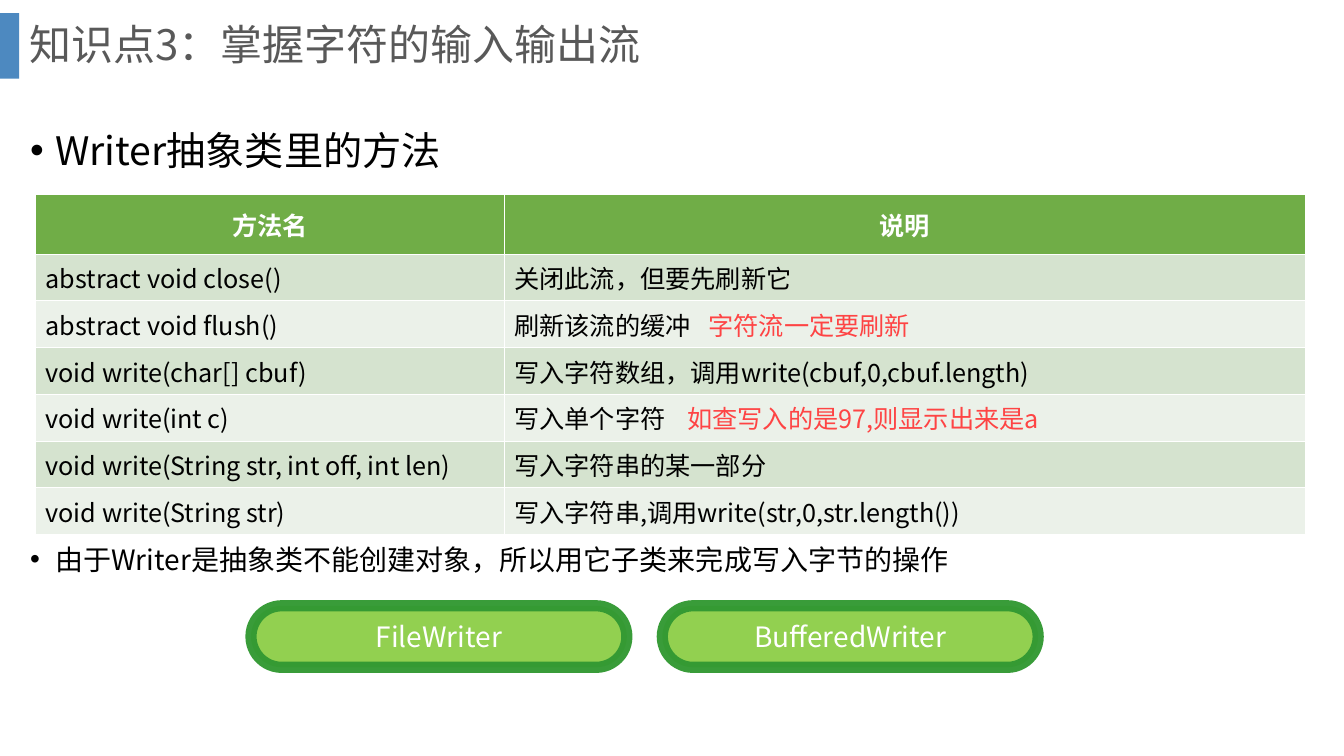
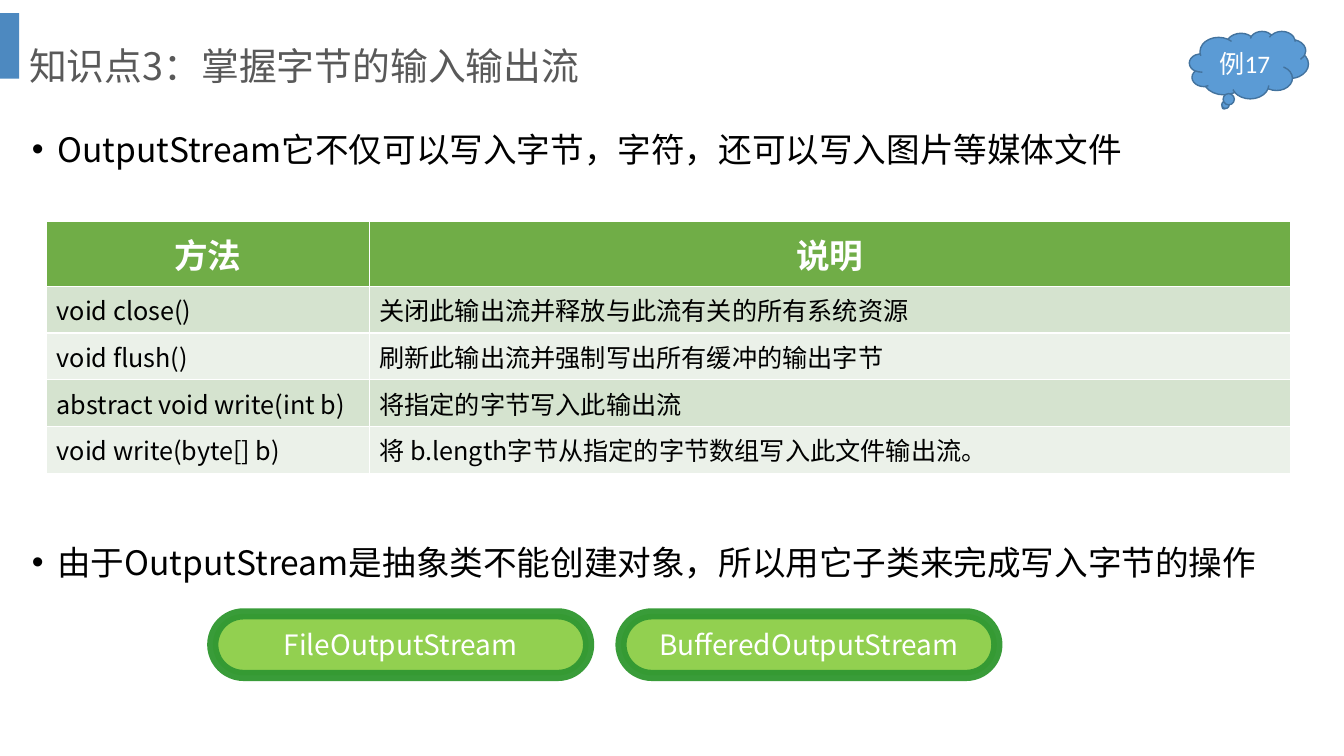
from lxml import etree
from pptx import Presentation
from pptx.dml.color import RGBColor
from pptx.enum import shapes, text
from pptx.oxml.ns import qn
from pptx.util import Pt

COLORS = {
    "bar": "2E75B6", "title": "595959", "text": "000000", "white": "FFFFFF",
    "header": "70AD47", "odd": "D5E3CF", "even": "EBF1E9", "note": "FE4444",
    "pill": "92D050", "pill_line": "339933", "cloud": "5B9BD5", "cloud_line": "43739E",
}
CJK_FONT = "Noto Sans CJK SC"
LATIN_FONT = "Calibri"
ROW_HEIGHT = 33.4
PILL_SIZE = (268.5, 44)

# A description is plain text, or (text, red note, tab position of the note).
SLIDES = [
    {
        "title": ("知识点3：掌握字符的输入输出流", 30, 0),
        "bullet_left": 14.4,
        "bullets": [("Writer抽象类里的方法", 28, 107),
                    ("由于Writer是抽象类不能创建对象，所以用它子类来完成写入字节的操作", 20, 399.5)],
        "table": {
            "at": (25.4, 139), "columns": (334.8, 572.4), "header": (42.5, 18),
            "rows": [
                ("方法名", "说明"),
                ("abstract void close()", "关闭此流，但要先刷新它"),
                ("abstract void flush()", ("刷新该流的缓冲", "字符流一定要刷新", 138.6)),
                ("void write(char[] cbuf)", "写入字符数组，调用write(cbuf,0,cbuf.length)"),
                ("void write(int c)", ("写入单个字符", "如查写入的是97,则显示出来是a", 123.6)),
                ("void write(String str, int off, int len)", "写入字符串的某一部分"),
                ("void write(String str)", "写入字符串,调用write(str,0,str.length())"),
            ],
        },
        "pills": (["FileWriter", "BufferedWriter"], 179.3, 432.7, 25.3),
    },
    {
        "title": ("知识点3：掌握字节的输入输出流", 27, 15),
        "bullet_left": 15.8,
        "bullets": [("OutputStream它不仅可以写入字节，字符，还可以写入图片等媒体文件", 24, 106.5),
                    ("由于OutputStream是抽象类不能创建对象，所以用它子类来完成写入字节的操作", 24, 401.5)],
        "table": {
            "at": (33.3, 158), "columns": (230.4, 658), "header": (46.5, 24),
            "rows": [
                ("方法", "说明"),
                ("void close()", "关闭此输出流并释放与此流有关的所有系统资源"),
                ("void flush()", "刷新此输出流并强制写出所有缓冲的输出字节"),
                ("abstract void write(int b)", "将指定的字节写入此输出流"),
                ("void write(byte[] b)", "将 b.length字节从指定的字节数组写入此文件输出流。"),
            ],
        },
        "pills": (["FileOutputStream", "BufferedOutputStream"], 152, 438.5, 23.1),
        "cloud": ("例17", (849.6, 22.3, 85, 48.2)),
    },
]


def rgb(name):
    return RGBColor.from_string(COLORS[name])


def style(paragraph, size, color, bold=False, align=text.PP_ALIGN.LEFT, font=CJK_FONT):
    paragraph.alignment = align
    paragraph.font.size = Pt(size)
    paragraph.font.bold = bold
    paragraph.font.color.rgb = rgb(color)
    paragraph.font.name = font
    defaults = paragraph._p.pPr.find(qn("a:defRPr"))
    etree.SubElement(defaults, qn("a:ea"), typeface=CJK_FONT)


def add_text(slide, content, box, size, color, bulleted=False):
    frame = slide.shapes.add_textbox(*map(Pt, box)).text_frame
    frame.word_wrap = True
    frame.vertical_anchor = text.MSO_ANCHOR.MIDDLE
    paragraph = frame.paragraphs[0]
    paragraph.text = content
    if bulleted:
        properties = paragraph._p.get_or_add_pPr()
        properties.set("marL", str(Pt(18)))
        properties.set("indent", str(-Pt(18)))
        etree.SubElement(properties, qn("a:buFont"), typeface="Arial")
        etree.SubElement(properties, qn("a:buChar"), char="•")
    else:
        paragraph.line_spacing = 0.9
    style(paragraph, size, color)


def add_shape(slide, kind, box, fill, line=None, line_width=1):
    shape = slide.shapes.add_shape(kind, *map(Pt, box))
    shape.shadow.inherit = False
    shape.fill.solid()
    shape.fill.fore_color.rgb = rgb(fill)
    if line:
        shape.line.color.rgb = rgb(line)
        shape.line.width = Pt(line_width)
    else:
        shape.line.fill.background()
    return shape


def set_opacity(shape, color, percent):
    """Make every use of the color in the shape's fill and line translucent."""
    for element in shape._element.spPr.iter(qn("a:srgbClr")):
        if element.get("val") == COLORS[color]:
            etree.SubElement(element, qn("a:alpha"), val=str(percent * 1000))


def label(shape, content, size, font=CJK_FONT):
    frame = shape.text_frame
    frame.margin_left = frame.margin_right = frame.margin_top = frame.margin_bottom = 0
    frame.vertical_anchor = text.MSO_ANCHOR.MIDDLE
    frame.paragraphs[0].text = content
    style(frame.paragraphs[0], size, "white", align=text.PP_ALIGN.CENTER, font=font)


def fill_cell(cell, content, fill, **text_style):
    cell.fill.solid()
    cell.fill.fore_color.rgb = rgb(fill)
    cell.vertical_anchor = text.MSO_ANCHOR.MIDDLE
    paragraph = cell.text_frame.paragraphs[0]
    if isinstance(content, tuple):
        main, note, position = content
        paragraph.add_run().text = main + "\t"
        note_run = paragraph.add_run()
        note_run.text = note
        note_run.font.color.rgb = rgb("note")
        tabs = etree.SubElement(paragraph._p.get_or_add_pPr(), qn("a:tabLst"))
        etree.SubElement(tabs, qn("a:tab"), pos=str(Pt(position)), algn="l")
    else:
        paragraph.text = content
    style(paragraph, **text_style)


def add_method_table(slide, at, columns, header, rows):
    header_height, header_size = header
    heights = [header_height] + [ROW_HEIGHT] * (len(rows) - 1)
    table = slide.shapes.add_table(
        len(rows), len(columns), *map(Pt, (*at, sum(columns), sum(heights)))).table
    for column, width in zip(table.columns, columns):
        column.width = Pt(width)
    for index, (row, height) in enumerate(zip(rows, heights)):
        table.rows[index].height = Pt(height)
        for cell, content in zip(table.rows[index].cells, row):
            if index == 0:
                fill_cell(cell, content, "header", size=header_size, color="white",
                          bold=True, align=text.PP_ALIGN.CENTER)
            else:
                fill_cell(cell, content, "odd" if index % 2 else "even",
                          size=18, color="text")


def add_pills(slide, names, left, top, gap):
    width, height = PILL_SIZE
    for index, name in enumerate(names):
        box = (left + index * (width + gap), top, width, height)
        pill = add_shape(slide, shapes.MSO_SHAPE.ROUNDED_RECTANGLE, box,
                         "pill", "pill_line", 8)
        pill.adjustments[0] = 0.5
        set_opacity(pill, "pill_line", 96)
        label(pill, name, 20)


def build_slide(presentation, content):
    slide = presentation.slides.add_slide(presentation.slide_layouts[6])
    bar = add_shape(slide, shapes.MSO_SHAPE.RECTANGLE, (0, 9.4, 13.7, 46.8), "bar")
    set_opacity(bar, "bar", 85)
    title, size, top = content["title"]
    add_text(slide, title, (13.7, top, 911.5, 67), size, "title")
    for bullet, size, centre in content["bullets"]:
        add_text(slide, bullet, (content["bullet_left"], centre - 25, 928.8, 50),
                 size, "text", bulleted=True)
    add_method_table(slide, **content["table"])
    add_pills(slide, *content["pills"])
    if "cloud" in content:
        name, box = content["cloud"]
        cloud = add_shape(slide, shapes.MSO_SHAPE.CLOUD_CALLOUT, box, "cloud", "cloud_line")
        label(cloud, name, 18, LATIN_FONT)


def main():
    presentation = Presentation()
    presentation.slide_width, presentation.slide_height = Pt(960), Pt(540)
    for content in SLIDES:
        build_slide(presentation, content)
    presentation.save("out.pptx")


if __name__ == "__main__":
    main()
